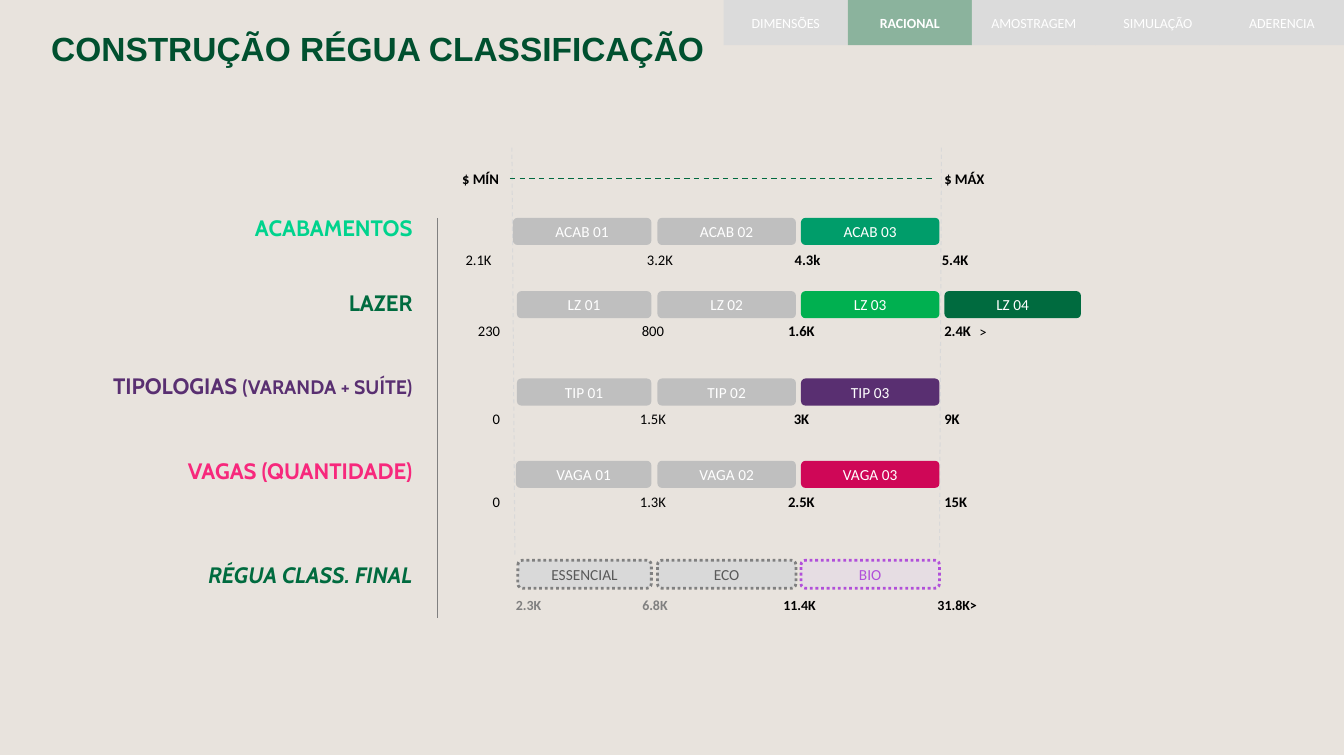
"""Build the slide that sets out the classification ruler by price range."""
from lxml.etree import SubElement
from pptx import Presentation
from pptx.dml.color import RGBColor
from pptx.enum.dml import MSO_LINE
from pptx.enum.shapes import MSO_CONNECTOR, MSO_SHAPE
from pptx.enum.text import MSO_ANCHOR, MSO_AUTO_SIZE, PP_ALIGN
from pptx.oxml.ns import qn
from pptx.util import Inches, Pt

THEME = {
    "paper": "E8E3DD", "title": "00502F", "ink": "000000", "white": "FFFFFF",
    "tab": "DBDBDB", "box": "BFBFBF", "pale": "D9D9D9", "grey": "808080",
    "dark": "595959", "mint": "00D38D", "teal": "009D6A", "forest": "006B3F",
    "green": "00B050", "plum": "592F71", "pink": "F7287C", "rose": "CF0757",
    "lilac": "E5D5EE", "violet": "B14FDA", "scale": "00693E",
    "head": 24, "label": 16, "note": 14, "name": 11, "tick": 10.5, "small": 10,
}
WIDE, HIGH = 13.39, 7.52
LEFT, MID, RIGHT = PP_ALIGN.LEFT, PP_ALIGN.CENTER, PP_ALIGN.RIGHT
BOLD = {"bold": True}

deck = Presentation()
deck.slide_width, deck.slide_height = Inches(WIDE), Inches(HIGH)
slide = deck.slides.add_slide(deck.slide_layouts[6])
slide.background.fill.solid()
slide.background.fill.fore_color.rgb = RGBColor.from_string(THEME["paper"])


def put(area, runs, align=LEFT, form=None, fill=None, alpha=None, edge=None, head=False):
    """Place a text box or a filled shape; each run is text, size, colour, font and style."""
    spot = [Inches(part) for part in area]
    if form is None:
        item = slide.shapes.add_textbox(*spot)
    else:
        item = slide.shapes.add_shape(form, *spot)
        item.shadow.inherit = False
        item.fill.solid()
        item.fill.fore_color.rgb = RGBColor.from_string(THEME[fill])
        if alpha:
            tint = item.fill._xPr.find(qn("a:solidFill"))[0]
            SubElement(tint, qn("a:alpha"), val=str(alpha * 1000))
        item.line.fill.background()
        if edge:
            item.line.color.rgb = RGBColor.from_string(THEME[edge])
            item.line.width, item.line.dash_style = Pt(2), MSO_LINE.ROUND_DOT
    frame = item.text_frame
    look = {"word_wrap": True}
    if form is None:
        look["auto_size"] = MSO_AUTO_SIZE.SHAPE_TO_FIT_TEXT
    else:
        look["vertical_anchor"] = MSO_ANCHOR.MIDDLE
    if head:
        look |= {"margin_left": 0, "margin_right": 0, "margin_bottom": 0, "margin_top": Inches(0.04)}
    for key, value in look.items():
        setattr(frame, key, value)
    para = frame.paragraphs[0]
    para.alignment = align
    if head:
        para.space_before = Pt(3)
    for words, size, tone, face, style in runs:
        run = para.add_run()
        run.text = words
        run.font.color.rgb = RGBColor.from_string(THEME[tone])
        for key, value in {"size": Pt(THEME[size]), "name": face, **style}.items():
            setattr(run.font, key, value)


def rule(start, end, tone, width=0.75, dash=None):
    """Draw a straight line."""
    ends = [Inches(part) for part in (*start, *end)]
    line = slide.shapes.add_connector(MSO_CONNECTOR.STRAIGHT, *ends)
    line.line.color.rgb = RGBColor.from_string(THEME[tone])
    line.line.width, line.line.dash_style = Pt(width), dash
    SubElement(line._element.spPr, qn("a:effectLst"))


put((0.51, 0.24, 7.78, 0.45),
    [("CONSTRUÇÃO RÉGUA CLASSIFICAÇÃO", "head", "title", "Arial", BOLD)], head=True)

TABS = ["DIMENSÕES", "RACIONAL", "AMOSTRAGEM", "SIMULAÇÃO", "ADERENCIA"]
STEP = 1.236
for col, name in enumerate(TABS):
    live = name == "RACIONAL"
    put((WIDE - STEP * (len(TABS) - col), 0, STEP, 0.45),
        [(name, "small", "white", "Calibri", {"bold": live})], MID, MSO_SHAPE.RECTANGLE,
        "forest" if live else "tab", 40 if live else None)

for top, foot in ((5.1, 5.13), (9.38, 9.36)):
    rule((top, 1.47), (foot, 5.54), "pale", dash=MSO_LINE.DASH)
rule((4.36, 2.17), (4.36, 6.16), "grey")
rule((5.08, 1.78), (9.31, 1.78), "scale", 1, MSO_LINE.DASH)
for left, wide, name, align in ((4.17, 0.9, "$ MÍN", RIGHT), (9.31, 0.8, "$ MÁX", LEFT)):
    put((left, 1.64, wide, 0.29), [(name, "tick", "ink", "Calibri", BOLD)], align)

COLS = [None, 6.55, 7.98, 9.41]
ENDS = [6.49, 7.93, 9.36, 10.77]
PLAIN = ([3.83, 5.88, 7.36, 9.31], [RIGHT, MID, MID, LEFT])
FIRST = ([4.54, 5.95, 7.42, 8.89], [LEFT, MID, MID, MID])
FINAL = ([4.24, 5.9, 7.34, 8.58], [RIGHT, MID, MID, RIGHT])
ROWS = [
    (2.17, 2.09, 5.11, [("ACABAMENTOS", "label")], "mint", ["ACAB 01", "ACAB 02", "ACAB 03"],
     ["teal"], ["2.1K", "3.2K", "4.3k", "5.4K"], FIRST, 0.28),
    (2.9, 2.84, 5.15, [("LAZER", "label")], "forest", ["LZ 01", "LZ 02", "LZ 03", "LZ 04"],
     ["green", "forest"], ["230", "800", "1.6K", "2.4K"], PLAIN, 0.26),
    (3.77, 3.67, 5.15, [("TIPOLOGIAS ", "label"), ("(VARANDA + SUÍTE)", "note")], "plum",
     ["TIP 01", "TIP 02", "TIP 03"], ["plum"], ["0", "1.5K", "3K", "9K"], PLAIN, 0.26),
    (4.59, 4.51, 5.14, [("VAGAS (QUANTIDADE)", "label")], "pink",
     ["VAGA 01", "VAGA 02", "VAGA 03"], ["rose"], ["0", "1.3K", "2.5K", "15K"], PLAIN, 0.27),
    (5.58, 5.55, 5.16, [("RÉGUA CLASS. FINAL", "label")], "forest",
     ["ESSENCIAL", "ECO", "BIO"], ["lilac"], ["2.3K", "6.8K", "11.4K", "31.8K>"], FINAL, 0.31),
]
for top, rise, start, label, tone, names, fills, ticks, (lefts, sides), drop in ROWS:
    last = lefts is FINAL[0]
    style = {"bold": True, "italic": last}
    put((0.26, rise, 3.85, 0.31),
        [(words, size, tone, "Cabin", style) for words, size in label], RIGHT, head=True)
    paints = ["pale" if last else "box"] * 2 + fills
    for col, (name, fill) in enumerate(zip(names, paints)):
        left = COLS[col] or start
        lit = col > 1
        ink, edge, alpha = "white", None, None
        if last:
            ink, edge, alpha = ("violet", "violet", 40) if lit else ("dark", "grey", None)
        put((left, top, ENDS[col] - left, 0.28 if last else 0.27),
            [(name, "name", ink, "Calibri", {})], MID, MSO_SHAPE.ROUNDED_RECTANGLE,
            fill, alpha, edge)
    for col, (tick, left, side) in enumerate(zip(ticks, lefts, sides)):
        lit = col > 1
        put((left, top + drop, 1.25, 0.29),
            [(tick, "small" if last else "tick", "grey" if last and not lit else "ink",
              "Calibri", {"bold": last or lit})], side)
put((9.66, 3.17, 1.25, 0.29), [(">", "tick", "ink", "Calibri", {})])

deck.save("out.pptx")
